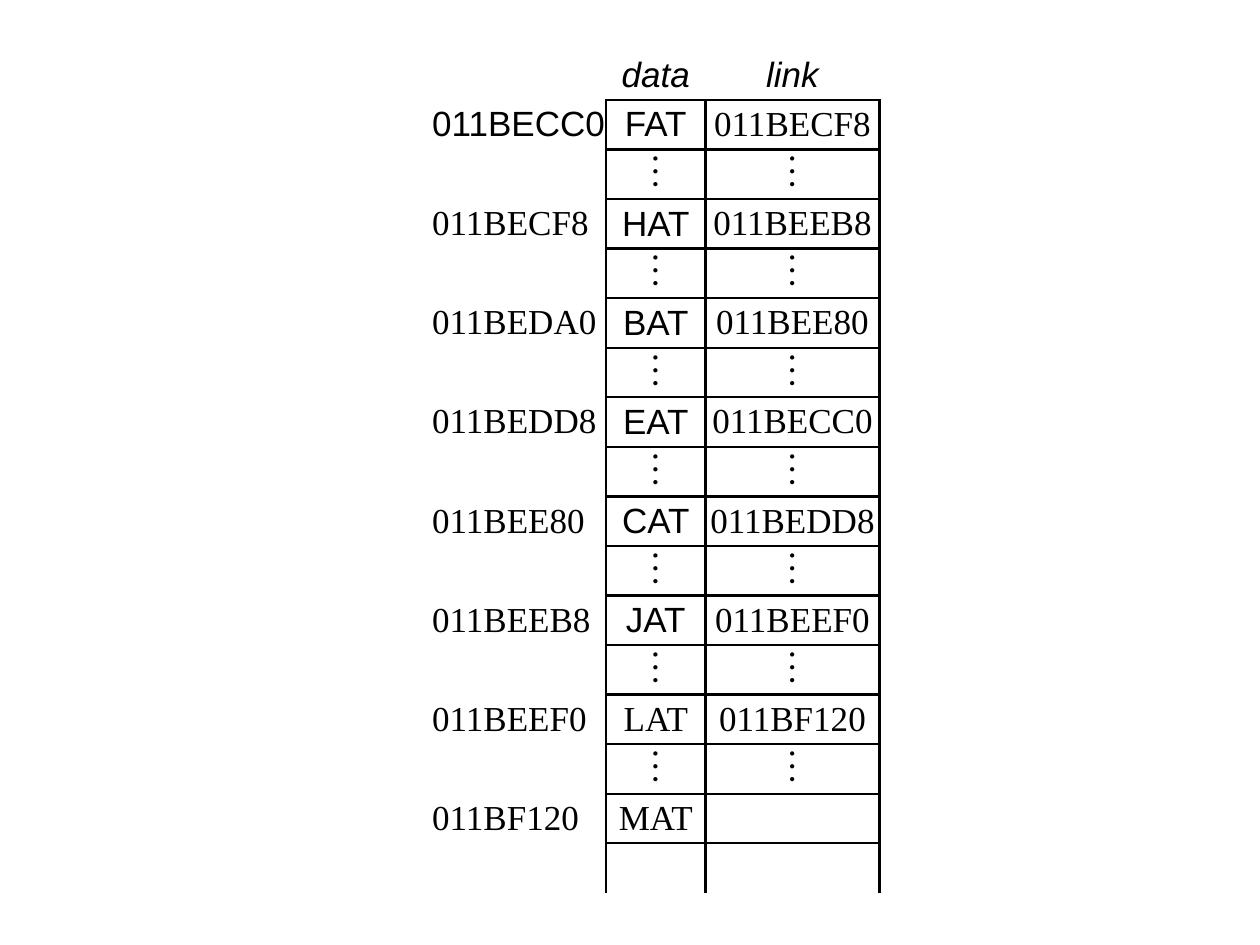
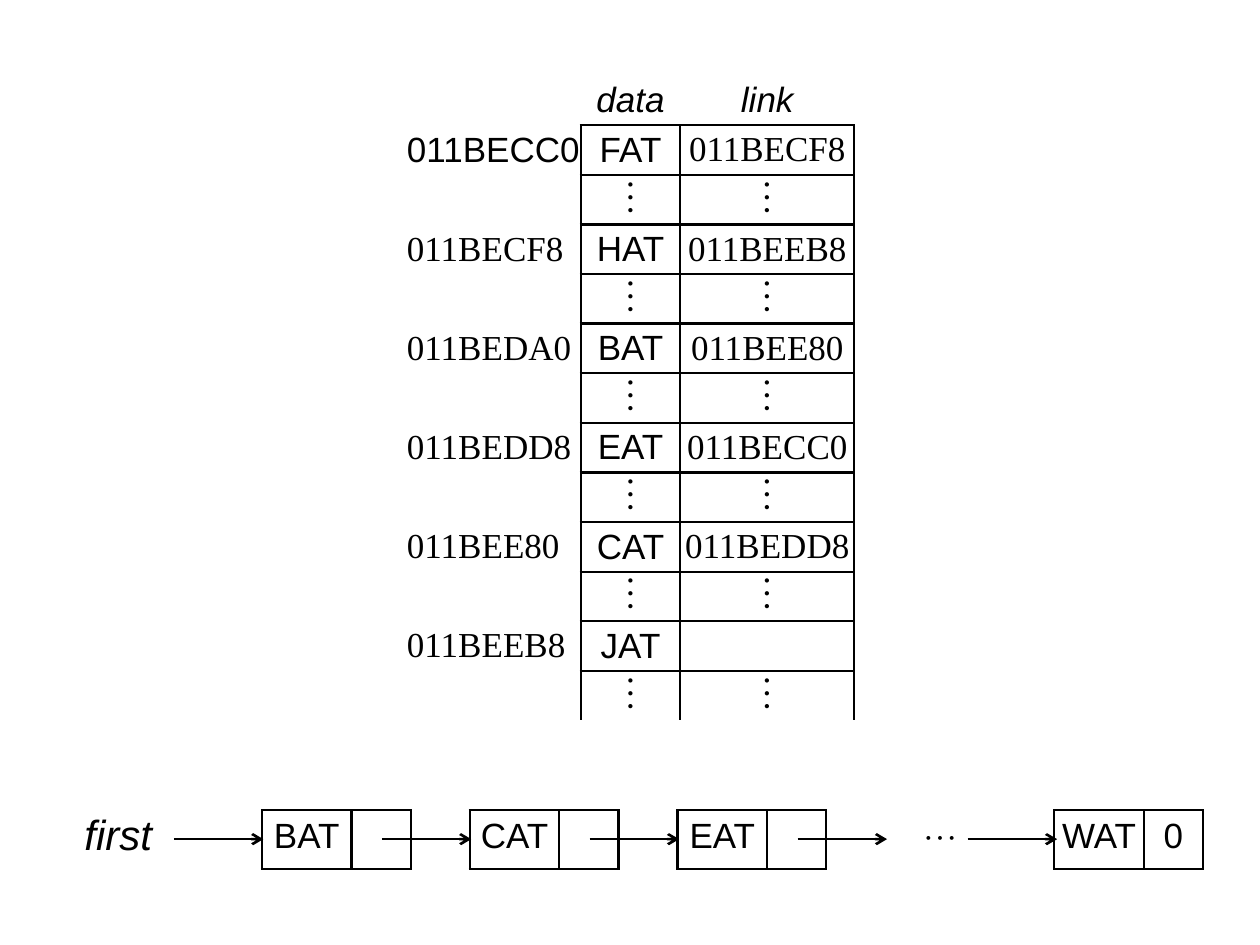
from dataclasses import dataclass

from lxml.etree import SubElement
from pptx import Presentation
from pptx.dml.color import RGBColor
from pptx.enum.shapes import MSO_CONNECTOR
from pptx.enum.text import MSO_ANCHOR, PP_ALIGN
from pptx.oxml.ns import qn
from pptx.util import Inches, Pt


@dataclass(frozen=True)
class Theme:
    ink: str = "000000"
    sans: str = "Arial"
    serif: str = "Times New Roman"
    math: str = "Cambria"
    body: int = 20
    dots: int = 22
    lead: int = 24
    line: float = 1.5


SIDES = {"lnL": (0, -1), "lnR": (0, 1), "lnT": (-1, 0), "lnB": (1, 0)}


def cell_text(text="", **fmt):
    return text, fmt


def write(cell, theme, text, font=None, size=None, italic=False,
          align=PP_ALIGN.CENTER, anchor=MSO_ANCHOR.MIDDLE, pad=(0, 0)):
    cell.margin_left = cell.margin_right = Inches(pad[0])
    cell.margin_top = cell.margin_bottom = Inches(pad[1])
    cell.vertical_anchor = anchor
    if not text:
        return
    p = cell.text_frame.paragraphs[0]
    p.alignment = align
    r = p.add_run()
    r.text = text
    r.font.name = font or theme.sans
    r.font.size = Pt(size or theme.body)
    r.font.italic = italic
    r.font.color.rgb = RGBColor.from_string(theme.ink)


class Deck:
    def __init__(self, theme):
        self.theme = theme
        self.prs = Presentation()
        self.prs.slide_width, self.prs.slide_height = Inches(10), Inches(7.5)
        self.s = None

    def slide(self):
        self.s = self.prs.slides.add_slide(self.prs.slide_layouts[6])

    def border(self, tc_pr, side, visible):
        ln = SubElement(tc_pr, qn(f"a:{side}"), w=str(Pt(self.theme.line)))
        if visible:
            fill = SubElement(ln, qn("a:solidFill"))
            SubElement(fill, qn("a:srgbClr"), val=self.theme.ink)
        else:
            SubElement(ln, qn("a:noFill"))

    def table(self, x, y, widths, height, rows, framed, open_bottom=False):
        count = len(rows)
        shape = self.s.shapes.add_table(count, len(widths), Inches(x), Inches(y),
                                        Inches(sum(widths)), Inches(height))
        table = shape.table
        table.first_row = table.horz_banding = False
        for col, width in zip(table.columns, widths):
            col.width = Inches(width)
        for i, row in enumerate(rows):
            table.rows[i].height = Inches(height / count)
            for j, (text, fmt) in enumerate(row):
                cell = table.cell(i, j)
                write(cell, self.theme, text, **fmt)
                tc_pr = cell._tc.get_or_add_tcPr()
                for side, (di, dj) in SIDES.items():
                    visible = (i, j) in framed or (i + di, j + dj) in framed
                    if open_bottom and side == "lnB" and i == count - 1:
                        visible = False
                    self.border(tc_pr, side, visible)
                cell.fill.background()

    def memory(self, x, y, height, records, last):
        t = self.theme
        dots = cell_text("⋮", font=t.math, size=t.dots)
        gap = [cell_text(), dots, dots]
        rows = [[cell_text(),
                 cell_text("data", italic=True), cell_text("link", italic=True)]]
        for k, (address, data, link) in enumerate(records):
            rows += [[cell_text(address, font=t.serif if k else t.sans,
                                align=PP_ALIGN.LEFT),
                      cell_text(data, font=t.serif if data in SERIF_DATA else t.sans),
                      cell_text(link, font=t.serif)], gap]
        rows[-1] = gap if last == "dots" else [cell_text()] * 3
        framed = {(i, j) for i in range(1, len(rows)) for j in (1, 2)}
        self.table(x, y, [1.38, 0.79, 1.38], height, rows, framed, open_bottom=True)

    def arrow(self, x, y, length):
        c = self.s.shapes.add_connector(MSO_CONNECTOR.STRAIGHT, Inches(x), Inches(y),
                                        Inches(x + length), Inches(y))
        c.line.color.rgb = RGBColor.from_string(self.theme.ink)
        c.line.width = Pt(self.theme.line)
        SubElement(c.line._get_or_add_ln(), qn("a:tailEnd"), type="arrow")
        SubElement(c._element.spPr, qn("a:effectLst"))

    def chain(self, x, y, height):
        t = self.theme
        data, link, lead, tail = 0.71, 0.47, 1.02, 1.81
        base = dict(anchor=MSO_ANCHOR.TOP, pad=(0.08, 0.05))
        empty = cell_text(**base)
        widths = [lead]
        row = [cell_text("first", size=t.lead, italic=True, align=PP_ALIGN.LEFT,
                         anchor=MSO_ANCHOR.TOP, pad=(0.08, 0.02))]
        framed = set()
        for name in ("BAT", "CAT", "EAT"):
            framed |= {(0, len(row) + 1), (0, len(row) + 2)}
            row += [empty, cell_text(name, **base), empty]
            widths += [link, data, link]
        framed |= {(0, len(row) + 1), (0, len(row) + 2)}
        row += [cell_text("⋯", font=t.math, **base),
                cell_text("WAT", anchor=MSO_ANCHOR.TOP, pad=(0.04, 0.05)),
                cell_text("0", **base)]
        widths += [tail, data, link]
        self.table(x, y, widths, height, [row], framed)
        starts = [1.38 + k * (data + 2 * link) for k in range(4)] + [7.68]
        for start in starts:
            self.arrow(start, 6.66, data)


SERIF_DATA = ("LAT", "MAT")
RECORDS = [
    ("011BECC0", "FAT", "011BECF8"),
    ("011BECF8", "HAT", "011BEEB8"),
    ("011BEDA0", "BAT", "011BEE80"),
    ("011BEDD8", "EAT", "011BECC0"),
    ("011BEE80", "CAT", "011BEDD8"),
    ("011BEEB8", "JAT", "011BEEF0"),
    ("011BEEF0", "LAT", "011BF120"),
    ("011BF120", "MAT", ""),
]

deck = Deck(Theme())

deck.slide()
deck.memory(3.43, 0.4, 6.69, RECORDS, last="empty")

deck.slide()
deck.memory(3.23, 0.6, 5.12, RECORDS[:5] + [("011BEEB8", "JAT", "")], last="dots")
deck.chain(0.59, 6.43, 0.47)

deck.prs.save("out.pptx")
